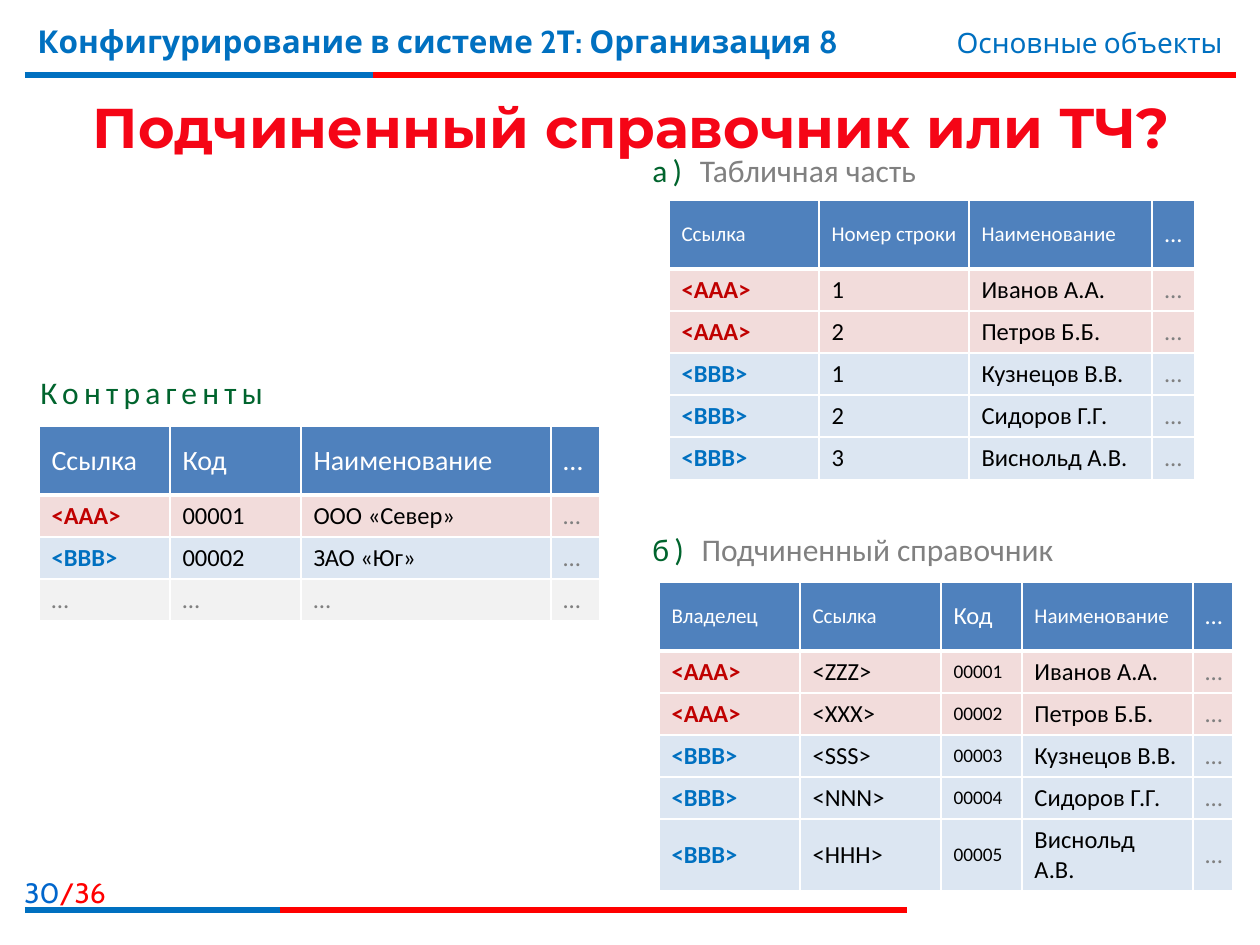
import pptx
import pptx.util
import pptx.dml.color
import pptx.enum.shapes
import pptx.enum.text
import pptx.oxml.ns
import lxml.etree
from dataclasses import dataclass

Align = pptx.enum.text.PP_ALIGN
Anchor = pptx.enum.text.MSO_ANCHOR
qn = pptx.oxml.ns.qn
SCALE = 914400 // 126


@dataclass(frozen=True)
class Theme:
    blue: str = "0070C0"
    red: str = "FF0000"
    title: str = "F50516"
    page: str = "0066CC"
    green: str = "00642D"
    gray: str = "808080"
    white: str = "FFFFFF"
    black: str = "000000"
    dark: str = "C00000"
    head: str = "4F81BD"
    pink: str = "F2DCDB"
    pale: str = "DCE6F2"
    light: str = "F2F2F2"
    brand: str = "Cabin"
    body: str = "Calibri"
    bold: str = "Montserrat"
    huge: int = 32
    large: int = 18
    mid: int = 16
    base: int = 14
    small: int = 12
    tiny: int = 11


T = Theme()
ROWS = {"<AAA>": (T.pink, T.dark), "<BBB>": (T.pale, T.blue), "…": (T.light, T.gray)}


def px(num):
    return pptx.util.Emu(num * SCALE)


def rgb(code):
    return pptx.dml.color.RGBColor.from_string(code)


def style(font, face, size, color, bold=False):
    font.name = face
    font.size = pptx.util.Pt(size)
    font.bold = bold
    font.color.rgb = rgb(color)


def add_text(slide, box, runs, face, size, bold=False, align=Align.LEFT,
             anchor=Anchor.TOP, wrap=True, gap=0):
    frame = slide.shapes.add_textbox(*map(px, box)).text_frame
    frame.word_wrap = wrap
    frame.vertical_anchor = anchor
    para = frame.paragraphs[0]
    para.alignment = align
    style(para.font, face, size, runs[0][1], bold)
    for spot, (text, color) in enumerate(runs):
        run = para.add_run()
        run.text = text
        if len(runs) > 1:
            style(run.font, face, size, color, bold)
        if gap and spot == 0:
            run.font.size = pptx.util.Pt(size)
            run._r.get_or_add_rPr().set("spc", str(gap * 100))


def add_label(slide, box, *runs):
    add_text(slide, box, runs, T.body, T.large, wrap=False, gap=3)


def add_rule(slide, left, right, y, color):
    kind = pptx.enum.shapes.MSO_CONNECTOR.STRAIGHT
    rule = slide.shapes.add_connector(kind, px(left), px(y), px(right), px(y))
    rule.line.color.rgb = rgb(color)
    rule.line.width = pptx.util.Pt(3)
    lxml.etree.SubElement(rule._element.spPr, qn("a:effectLst"))


def add_edges(cell, base):
    props = cell._tc.get_or_add_tcPr()
    for spot, side in enumerate(("lnL", "lnR", "lnT", "lnB")):
        width = base if side == "lnB" else 1
        edge = lxml.etree.Element(qn("a:" + side), w=str(width * 12700))
        fill = lxml.etree.SubElement(edge, qn("a:solidFill"))
        lxml.etree.SubElement(fill, qn("a:srgbClr"), val=T.white)
        props.insert(spot, edge)


def fill_cell(cell, text, fill, size, color, bold, align, base):
    cell.fill.solid()
    cell.fill.fore_color.rgb = rgb(fill)
    cell.vertical_anchor = Anchor.MIDDLE
    add_edges(cell, base)
    para = cell.text_frame.paragraphs[0]
    para.text = text
    para.alignment = align
    style(para.font, T.body, size, color, bold)


def add_grid(slide, left, top, cols, heads, sizes, rows, last, tiny=None):
    height = 69 + 42 * len(rows)
    shape = slide.shapes.add_table(len(rows) + 1, len(cols), px(left), px(top),
                                   px(sum(cols)), px(height))
    grid = shape.table
    grid.horz_banding = False
    for col, width in zip(grid.columns, cols):
        col.width = px(width)
    for r, texts in enumerate([heads] + rows):
        grid.rows[r].height = px(42 if r else 69)
        for c, text in enumerate(texts):
            align = last if c == len(cols) - 1 else Align.LEFT
            if r == 0:
                look = T.head, sizes[c], T.white, False
            else:
                fill, key = ROWS[texts[0]]
                color = T.gray if text == "…" else T.black if c else key
                size = T.tiny if c == tiny else T.base
                look = fill, size, color, c == 0 and text != "…"
            fill_cell(grid.cell(r, c), text, *look, align, 1 if r else 3)


def add_frame(slide):
    for y, mid, end in ((75, 373, 1236), (910, 280, 907)):
        add_rule(slide, 25, end, y, T.red)
        add_rule(slide, 25, mid, y, T.blue)
    add_text(slide, (-13, 869, 131, 40), [("30", T.page), ("/36", T.red)],
             T.brand, T.mid, align=Align.RIGHT)
    add_text(slide, (25, 16, 932, 78),
             [("Конфигурирование в системе 2Т: Организация 8", T.blue)],
             T.brand, T.large, bold=True)
    add_text(slide, (748, 19, 487, 47), [("Основные объекты", T.blue)],
             T.brand, T.mid, align=Align.RIGHT)
    add_text(slide, (28, 78, 1207, 97),
             [("Подчиненный справочник или ТЧ?", T.title)], T.bold, T.huge,
             bold=True, align=Align.CENTER, anchor=Anchor.MIDDLE)


def main():
    deck = pptx.Presentation()
    deck.slide_width = px(1260)
    deck.slide_height = px(945)
    slide = deck.slides.add_slide(deck.slide_layouts[6])
    add_frame(slide)

    add_label(slide, (28, 367, 256, 50), ("Контрагенты", T.green))
    add_label(slide, (640, 524, 432, 50), ("б) ", T.green),
              ("Подчиненный справочник", T.gray))
    add_label(slide, (640, 145, 292, 50), ("а) ", T.green),
              ("Табличная часть", T.gray))

    add_grid(slide, 39, 426, (131, 131, 250, 49),
             ("Ссылка", "Код", "Наименование", "…"), (T.mid,) * 4,
             [("<AAA>", "00001", "ООО «Север»", "…"),
              ("<BBB>", "00002", "ЗАО «Юг»", "…"),
              ("…",) * 4], Align.LEFT)

    tags = ("<AAA>",) * 2 + ("<BBB>",) * 3
    links = ("<ZZZ>", "<XXX>", "<SSS>", "<NNN>", "<HHH>")
    lines = ("1", "2", "1", "2", "3")
    names = ("Иванов А.А.", "Петров Б.Б.", "Кузнецов В.В.",
             "Сидоров Г.Г.", "Виснольд А.В.")
    add_grid(slide, 659, 582, (141, 141, 81, 171, 40),
             ("Владелец", "Ссылка", "Код", "Наименование", "…"),
             (T.small, T.small, T.base, T.small, T.base),
             [(tag, link, f"{num:05}", name, "…") for num, (tag, link, name)
              in enumerate(zip(tags, links, names), 1)], Align.CENTER, tiny=2)
    add_grid(slide, 669, 200, (150, 150, 183, 43),
             ("Ссылка", "Номер строки", "Наименование", "…"),
             (T.small, T.small, T.small, T.base),
             [(*row, "…") for row in zip(tags, lines, names)], Align.CENTER)
    deck.save("out.pptx")


main()
